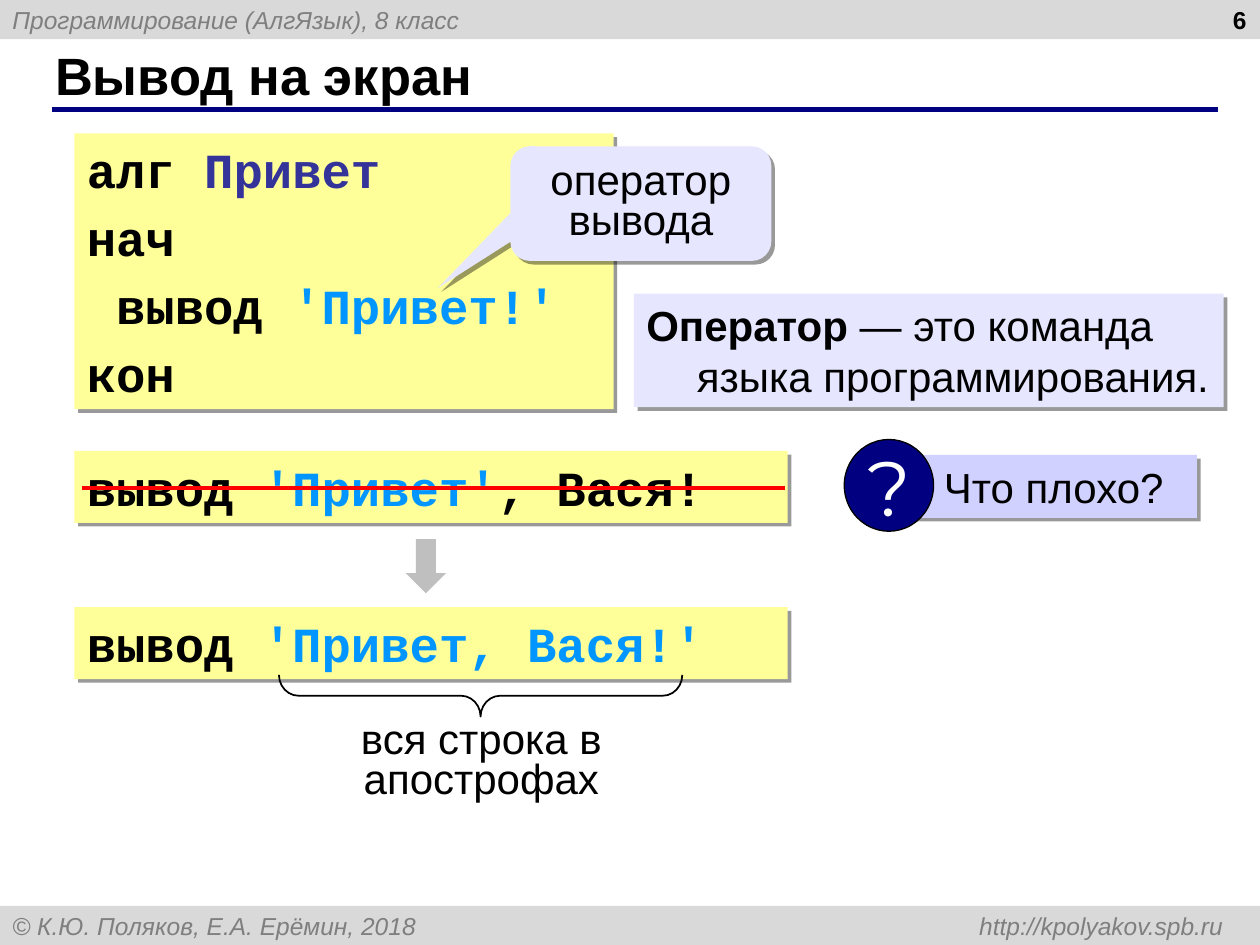
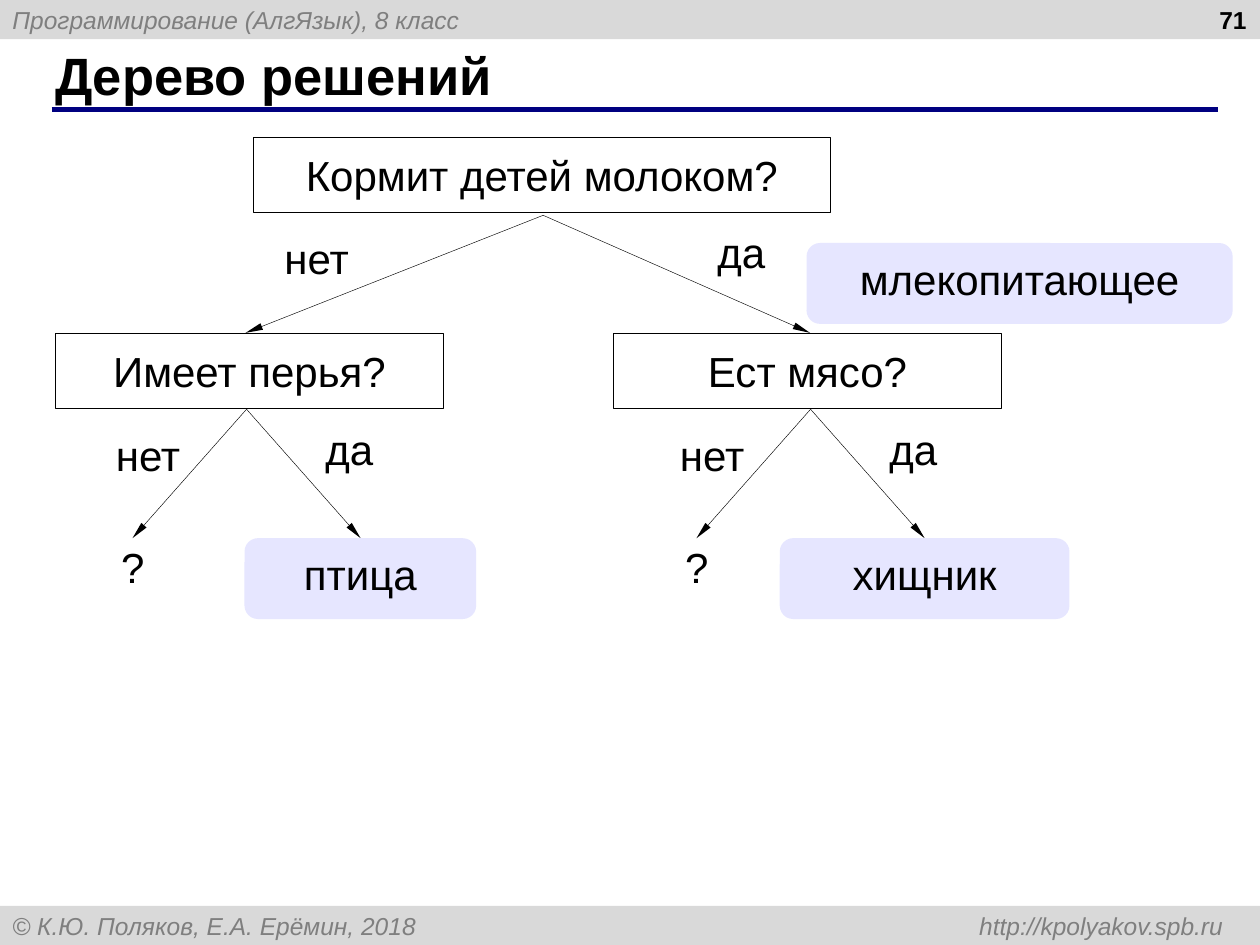
"""Build two programming lesson slides: screen output and a decision tree."""
from lxml.etree import SubElement as Sub
from pptx import Presentation
from pptx.dml.color import RGBColor
from pptx.enum.shapes import MSO_CONNECTOR as Link, MSO_SHAPE as Kind
from pptx.enum.text import MSO_ANCHOR as Anchor, PP_ALIGN as Align
from pptx.oxml.ns import qn
from pptx.util import Cm, Pt

tint = RGBColor.from_string
BLACK, NAVY, WHITE, RED = "000000", "000080", "FFFFFF", "FF0000"
BAND, GREY, STEEL = "D9D9D9", "7F7F7F", "BFBFBF"
CREAM, LILAC, VIOLET = "FFFF99", "E6E6FF", "D1D1FF"
INK = {"color": BLACK}
NAME = {"color": "333399"}
QUOTE = {"color": "0095FF"}

BASE = {"name": "Arial", "size": Pt(24), "color": BLACK}
SMALL = BASE | {"size": Pt(14)}
FADED = SMALL | {"color": GREY, "italic": True}
HEAD = BASE | {"size": Pt(30), "bold": True}
CODE = BASE | {"name": "Courier New", "size": Pt(28), "bold": True}
MARK = BASE | {"name": "Montserrat", "size": Pt(44), "color": WHITE}

MID = {"vertical_anchor": Anchor.MIDDLE}
BARE = {f"margin_{side}": 0 for side in ("left", "top", "right", "bottom")}
MIDST = {"alignment": Align.CENTER}
TIGHT = MIDST | {"line_spacing": 0.8}


def box(page, kind, at, text="", fill=None, edge=None, pen=0.25,
        shade=False, frame={}, para={}, font=BASE):
    """Add a shape, or a text box if kind is None, with formatted text."""
    spot = [Cm(n) for n in at]
    if kind is None:
        item = page.shapes.add_textbox(*spot)
    else:
        item = page.shapes.add_shape(kind, *spot)
        item.shadow.inherit = False
        if fill:
            item.fill.solid()
            item.fill.fore_color.rgb = tint(fill)
        else:
            item.fill.background()
        if edge:
            item.line.color.rgb = tint(edge)
            item.line.width = Pt(pen)
        else:
            item.line.fill.background()
    if shade:
        glow = Sub(item._element.spPr.find(qn("a:effectLst")), qn("a:outerShdw"),
                   blurRad="0", dist=str(Pt(3)), dir="2700000", algn="ctr")
        tone = Sub(glow, qn("a:srgbClr"), val=BLACK)
        Sub(tone, qn("a:alpha"), val="40000")
    body = item.text_frame
    for key, val in ({"word_wrap": True, "vertical_anchor": Anchor.TOP} | frame).items():
        setattr(body, key, val)
    rows = [[(text, {})]] if isinstance(text, str) else text
    for num, row in enumerate(rows if text else []):
        line = body.add_paragraph() if num else body.paragraphs[0]
        for key, val in ({"alignment": Align.LEFT} | para).items():
            setattr(line, key, val)
        if num:
            line.space_before = Pt(5.2)
        for words, extra in row:
            run = line.add_run()
            run.text = words
            for key, val in (font | extra).items():
                if key == "color":
                    run.font.color.rgb = tint(val)
                else:
                    setattr(run.font, key, val)
    return item


def rule(page, start, end, color=BLACK, pen=0.25, arrow=False):
    """Add a straight line, with an arrowhead at its end if asked."""
    line = page.shapes.add_connector(Link.STRAIGHT, *[Cm(n) for n in start + end])
    line.line.color.rgb = tint(color)
    line.line.width = Pt(pen)
    if arrow:
        Sub(line.line._get_or_add_ln(), qn("a:tailEnd"), type="triangle", w="sm", len="lg")
    Sub(line._element.spPr, qn("a:effectLst"))


deck = Presentation()
deck.slide_width, deck.slide_height = Cm(25.4), Cm(19.05)

pages = []
for title, num in (("Вывод на экран", "6"), ("Дерево решений", "71")):
    page = deck.slides.add_slide(deck.slide_layouts[6])
    box(page, Kind.RECTANGLE, (0, 0, 25.4, 0.79), "Программирование (АлгЯзык), 8 класс",
        BAND, frame=MID, font=FADED)
    foot = box(page, Kind.RECTANGLE, (0, 18.26, 25.4, 0.79),
               "© К.Ю. Поляков, Е.А. Ерёмин, 2018 \thttp://kpolyakov.spb.ru",
               BAND, frame=MID, font=FADED)
    tabs = Sub(foot.text_frame.paragraphs[0]._p.get_or_add_pPr(), qn("a:tabLst"))
    Sub(tabs, qn("a:tab"), pos=str(Cm(24.41)), algn="r")
    rule(page, (1.04, 2.21), (24.56, 2.21), NAVY, 3)
    box(page, None, (0.86, 0.84, 23.27, 1.32), title, frame=MID, font=HEAD)
    box(page, None, (19.46, 0, 5.92, 0.79), num, frame=MID,
        para={"alignment": Align.RIGHT}, font=SMALL | {"bold": True})
    pages.append(page)
show, tree = pages

box(show, Kind.RECTANGLE, (1.5, 2.69, 10.87, 5.56),
    [[("алг ", INK), ("Привет", NAME)], [("нач", INK)],
     [(" вывод ", INK), ("'Привет!'", QUOTE)], [("кон", INK)]],
    CREAM, shade=True, font=CODE)
call = box(show, Kind.ROUNDED_RECTANGULAR_CALLOUT, (10.29, 2.95, 5.26, 2.31),
           "оператор вывода", LILAC, shade=True, frame=MID, para=TIGHT)
for spot, val in enumerate((-0.78, 0.74, 0.17)):
    call.adjustments[spot] = val
term = box(show, Kind.RECTANGLE, (12.78, 5.92, 11.89, 2.29),
           [[("Оператор ", {"bold": True}), ("— это команда языка программирования.", {})]],
           LILAC, shade=True)
hang = term.text_frame.paragraphs[0]._p.get_or_add_pPr()
for key, val in {"marL": Cm(1.02), "indent": -Cm(1.02)}.items():
    hang.set(key, str(val))

for top, row in (
    (9.09, [("вывод ", INK), ("'Привет'", QUOTE), (", Вася!", INK)]),
    (12.24, [("вывод ", INK), ("'Привет, Вася!'", QUOTE)]),
):
    box(show, Kind.RECTANGLE, (1.5, top, 14.38, 1.45), [row],
        CREAM, shade=True, font=CODE)
rule(show, (1.65, 9.83), (15.82, 9.83), RED, 2.25)
box(show, Kind.DOWN_ARROW, (8.18, 10.87, 0.81, 1.09), fill=STEEL)
box(show, Kind.RECTANGLE, (18.31, 9.17, 5.82, 1.27), "Что плохо?", VIOLET, shade=True,
    frame={"margin_left": Cm(0.72)})
box(show, Kind.OVAL, (17.02, 8.86, 1.8, 1.85), "?", NAVY, BLACK, 0.75,
    frame=MID | {"word_wrap": False}, para=MIDST, font=MARK)
brace = box(show, Kind.LEFT_BRACE, (9.27, 9.96, 0.84, 8.13), edge=BLACK, pen=1)
brace.rotation = 270
brace.adjustments[0] = 0.47
box(show, None, (6.53, 14.43, 6.35, 1.88), "вся строка в апострофах", para=TIGHT)

asks = [("Кормит детей молоком?", 5.11, 2.77, 11.63)]
leaves = [("млекопитающее", 16.26, 4.9, 8.59)]
labels = [("нет", 4.72, 4.62, 3.33), ("да", 13.28, 4.5, 3.33)]
links = [((10.95, 4.34), (x, 6.71)) for x in (4.95, 16.33)]
for shift, ask, left, leaf, edge, wide in (
    (0, "Имеет перья?", 1.12, "птица", 4.93, 4.67),
    (11.37, "Ест мясо?", 12.37, "хищник", 15.72, 5.84),
):
    asks.append((ask, left, 6.71, 7.82))
    leaves.append((leaf, edge, 10.85, wide))
    labels += [("нет", 1.22 + shift, 8.59, 3.53), ("да", 5.38 + shift, 8.48, 3.33),
               ("?", 1.5 + shift, 10.85, 2.36)]
    links += [((4.97 + shift, 8.25), (x + shift, 10.85)) for x in (2.67, 7.27)]

for start, end in links:
    rule(tree, start, end, arrow=True)
for text, left, top, wide in leaves:
    box(tree, Kind.ROUNDED_RECTANGLE, (left, top, wide, 1.63), text, LILAC,
        frame=MID | BARE, para=TIGHT)
for text, left, top, wide in labels:
    box(tree, Kind.ROUNDED_RECTANGLE, (left, top, wide, 1.35), text,
        frame=BARE, para=MIDST)
for text, left, top, wide in asks:
    box(tree, Kind.RECTANGLE, (left, top, wide, 1.52), text, edge=BLACK,
        frame=MID | BARE, para=MIDST)

deck.save("out.pptx")
